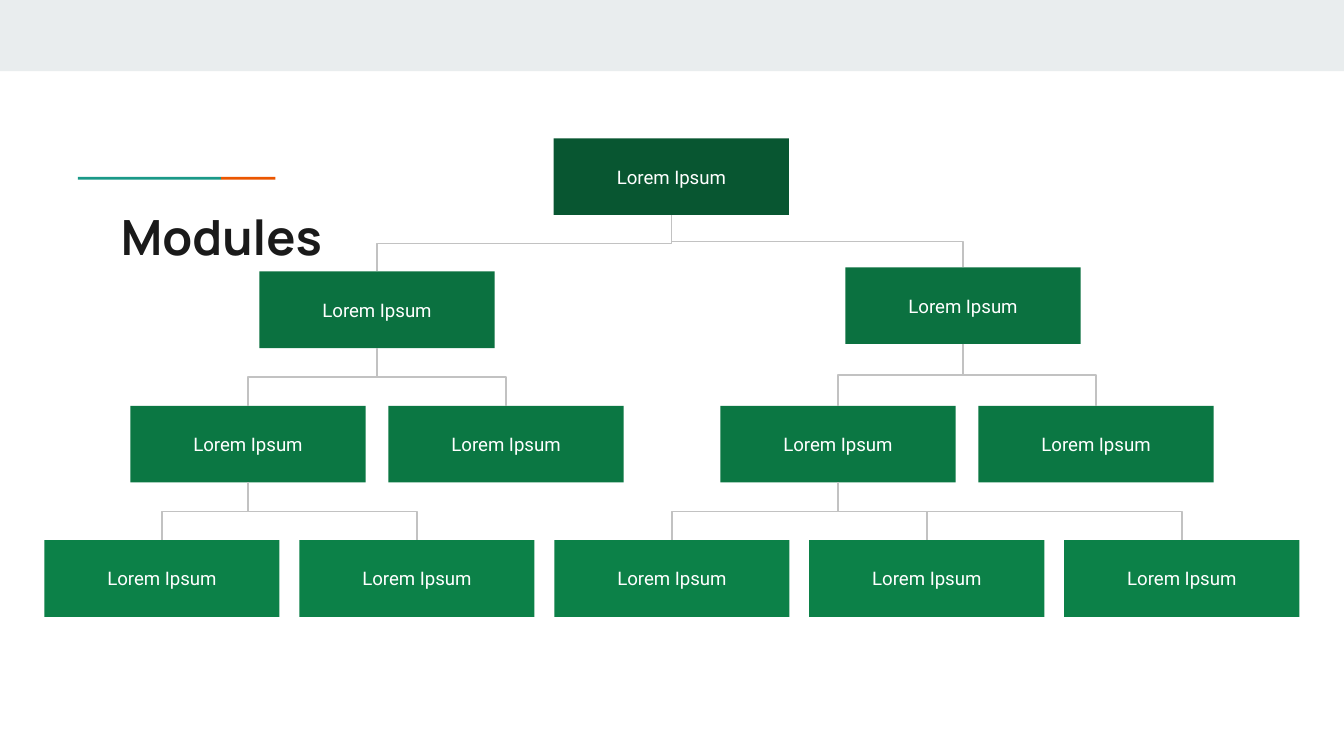
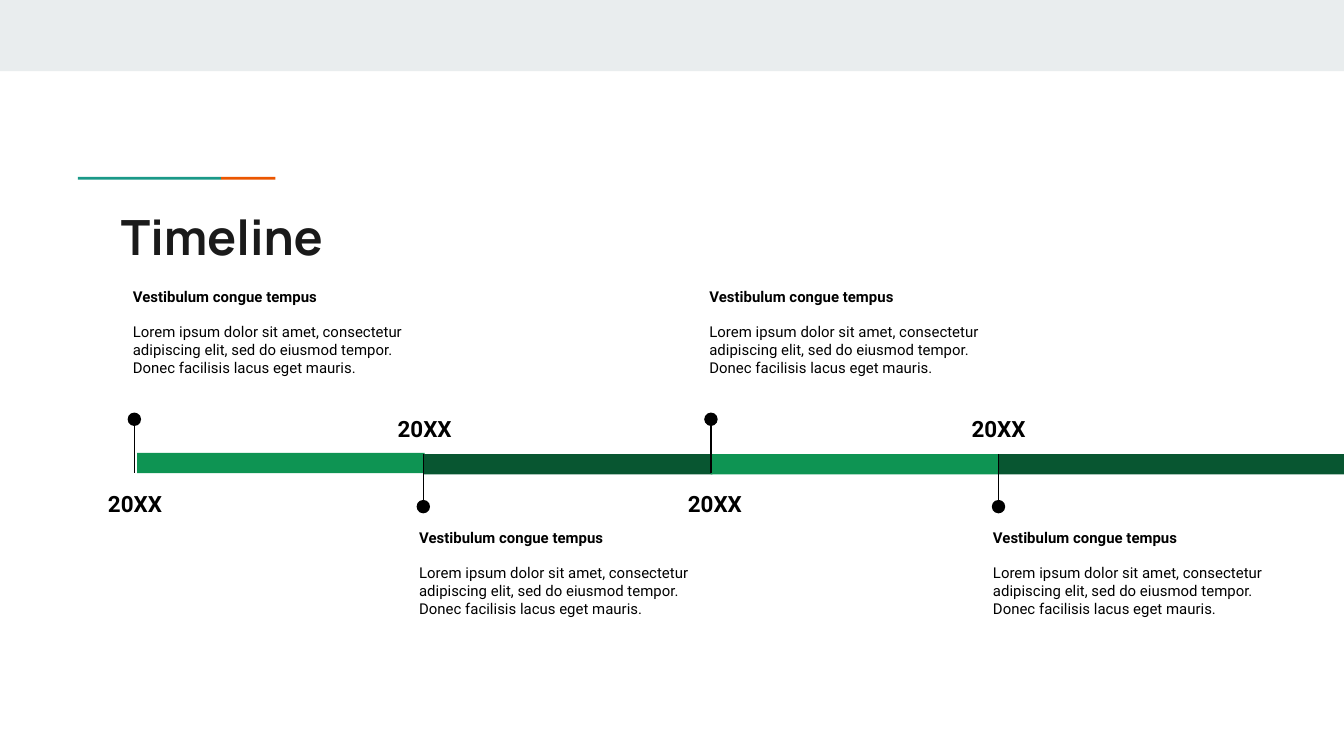
import dataclasses

import lxml.etree
import pptx
import pptx.dml.color
import pptx.enum.shapes
import pptx.enum.text
import pptx.oxml.ns
import pptx.util
from pptx.presentation import Presentation
from pptx.shapes.autoshape import Shape
from pptx.shapes.connector import Connector
from pptx.slide import Slide
from pptx.text.text import TextFrame

RGBColor = pptx.dml.color.RGBColor
ShapeKind = pptx.enum.shapes.MSO_SHAPE
ConnectorKind = pptx.enum.shapes.MSO_CONNECTOR
Align = pptx.enum.text.PP_ALIGN
Anchor = pptx.enum.text.MSO_ANCHOR

# The slide is a grid of square cells, 100 columns by 56.25 rows.
COLUMNS, ROWS = 100, 56.25
SLIDE_WIDTH = pptx.util.Inches(10)
INSET = 1

BAND = RGBColor(0xE9, 0xED, 0xEE)
TEAL = RGBColor(0x1A, 0x99, 0x88)
ORANGE = RGBColor(0xEB, 0x56, 0x00)
INK = RGBColor(0x1A, 0x1A, 0x1A)
BLACK = RGBColor(0x00, 0x00, 0x00)
WHITE = RGBColor(0xFF, 0xFF, 0xFF)
LINK_GRAY = RGBColor(0xC2, 0xC2, 0xC2)
GREEN_ROOT = RGBColor(0x08, 0x56, 0x31)
GREEN_BRANCH = RGBColor(0x0B, 0x71, 0x40)
GREEN_TWIG = RGBColor(0x0B, 0x77, 0x43)
GREEN_LEAF = RGBColor(0x0C, 0x81, 0x48)
GREEN_BAR = RGBColor(0x0E, 0x94, 0x53)

TITLE_FONT, BODY_FONT = "Manrope", "Roboto"
NOTE_HEADING = "Vestibulum congue tempus"
NOTE_BODY = (
    "Lorem ipsum dolor sit amet, consectetur adipiscing elit, "
    "sed do eiusmod tempor. Donec facilisis lacus eget mauris."
)


@dataclasses.dataclass(frozen=True)
class Box:
    left: float
    top: float
    width: float
    height: float

    def lengths(self) -> list[pptx.util.Length]:
        return [cells(value) for value in dataclasses.astuple(self)]


@dataclasses.dataclass(frozen=True)
class Style:
    size: float
    color: RGBColor
    bold: bool = False
    font: str = BODY_FONT


@dataclasses.dataclass(frozen=True)
class Module:
    left: float
    top: float
    fill: RGBColor
    parent: int | None = None


@dataclasses.dataclass(frozen=True)
class Milestone:
    """One timeline step; its note stands above or below the bar."""

    pin: float
    bar: Box
    fill: RGBColor
    label_left: float
    label_width: float
    note_left: float
    note_above: bool


TITLE_STYLE = Style(26, INK, True, TITLE_FONT)
MODULE_STYLE = Style(10, WHITE)
YEAR_STYLE = Style(12, BLACK, True)
HEADING_STYLE = Style(8, BLACK, True)
NOTE_STYLE = Style(8, BLACK)

MODULE_WIDTH, MODULE_HEIGHT = 17.5, 5.7
TWIG_TOP, TWIG_STEP = 30.2, 19.2
LEAF_TOP, LEAF_LEFT, LEAF_STEP = 40.2, 3.3, 18.97
LEAF_PARENTS = (3, 3, 5, 5, 5)
MODULES = [
    Module(41.2, 10.3, GREEN_ROOT),
    Module(19.3, 20.2, GREEN_BRANCH, 0),
    Module(62.9, 19.9, GREEN_BRANCH, 0),
    *(
        Module(first + step * TWIG_STEP, TWIG_TOP, GREEN_TWIG, parent)
        for first, parent in ((9.7, 1), (53.6, 2))
        for step in range(2)
    ),
    *(
        Module(LEAF_LEFT + step * LEAF_STEP, LEAF_TOP, GREEN_LEAF, parent)
        for step, parent in enumerate(LEAF_PARENTS)
    ),
]

BAR_TOP, BAR_HEIGHT = 33.8, 1.5
DOT_SIZE = 1
MILESTONES = [
    Milestone(10, Box(10.2, 33.7, 21.4, BAR_HEIGHT), GREEN_BAR, 5.3, 9.5, 8.9, True),
    Milestone(31.5, Box(31.5, BAR_TOP, 21.5, BAR_HEIGHT), GREEN_ROOT, 27.5, 8.2, 30.2, False),
    Milestone(52.9, Box(52.9, BAR_TOP, 21.4, BAR_HEIGHT), GREEN_BAR, 49.4, 7.6, 51.8, True),
    Milestone(74.3, Box(74.3, BAR_TOP, 25.7, BAR_HEIGHT), GREEN_ROOT, 70.2, 8.2, 72.9, False),
]


def cells(count: float) -> pptx.util.Length:
    return pptx.util.Emu(round(count * SLIDE_WIDTH / COLUMNS))


def add_filled(slide: Slide, kind: ShapeKind, box: Box, fill: RGBColor) -> Shape:
    shape = slide.shapes.add_shape(kind, *box.lengths())
    shape.shadow.inherit = False
    shape.fill.solid()
    shape.fill.fore_color.rgb = fill
    shape.line.fill.background()
    return shape


def prepare_frame(frame: TextFrame, anchor: Anchor = Anchor.TOP) -> None:
    frame.word_wrap = True
    frame.auto_size = pptx.enum.text.MSO_AUTO_SIZE.NONE
    frame.vertical_anchor = anchor
    frame.margin_left = frame.margin_right = cells(INSET)
    frame.margin_top = frame.margin_bottom = cells(INSET)


def write(
    frame: TextFrame,
    text: str,
    style: Style,
    align: Align = Align.LEFT,
    space_after: float = 0,
    line_spacing: float = 1.0,
) -> None:
    """Fill the frame's first paragraph, or add one when it has text already."""
    paragraph = frame.add_paragraph() if frame.text else frame.paragraphs[0]
    paragraph.alignment = align
    paragraph.space_before = pptx.util.Pt(0)
    paragraph.space_after = pptx.util.Pt(space_after)
    paragraph.line_spacing = line_spacing
    run = paragraph.add_run()
    run.text = text
    run.font.name = style.font
    run.font.size = pptx.util.Pt(style.size)
    run.font.bold = style.bold
    run.font.color.rgb = style.color


def add_text_frame(slide: Slide, box: Box) -> TextFrame:
    frame = slide.shapes.add_textbox(*box.lengths()).text_frame
    prepare_frame(frame)
    return frame


def format_line(connector: Connector, color: RGBColor) -> None:
    connector.line.color.rgb = color
    connector.line.width = pptx.util.Pt(0.75)
    properties = connector.element.spPr
    lxml.etree.SubElement(properties, pptx.oxml.ns.qn("a:effectLst"))


def add_titled_slide(presentation: Presentation, title: str) -> Slide:
    slide = presentation.slides.add_slide(presentation.slide_layouts[5])
    add_filled(slide, ShapeKind.RECTANGLE, Box(0, 0, COLUMNS, 5.3), BAND)
    add_filled(slide, ShapeKind.RECTANGLE, Box(5.8, 13.17, 10.65, 0.2), TEAL)
    add_filled(slide, ShapeKind.RECTANGLE, Box(16.45, 13.17, 4.05, 0.2), ORANGE)
    placeholder = slide.shapes.title
    placeholder.left, placeholder.top, placeholder.width, placeholder.height = Box(
        8, 14.4, 84.1, 5.9
    ).lengths()
    prepare_frame(placeholder.text_frame)
    write(placeholder.text_frame, title, TITLE_STYLE)
    return slide


def add_module(slide: Slide, module: Module) -> Shape:
    box = Box(module.left, module.top, MODULE_WIDTH, MODULE_HEIGHT)
    shape = add_filled(slide, ShapeKind.RECTANGLE, box, module.fill)
    prepare_frame(shape.text_frame, Anchor.MIDDLE)
    write(shape.text_frame, "Lorem Ipsum", MODULE_STYLE, Align.CENTER)
    return shape


def link_modules(slide: Slide, parent: Shape, child: Shape) -> None:
    """Join parent to child with an elbow that leaves downwards.

    An elbow runs sideways first, so it is laid flat and turned a quarter.
    """
    connector = slide.shapes.add_connector(ConnectorKind.ELBOW, 0, 0, 0, 0)
    connector.begin_connect(parent, 2)
    connector.end_connect(child, 0)
    start_x, start_y = parent.left + parent.width // 2, parent.top + parent.height
    end_x, end_y = child.left + child.width // 2, child.top
    drop, reach = end_y - start_y, abs(end_x - start_x)
    connector.left = (start_x + end_x - drop) // 2
    connector.top = (start_y + end_y - reach) // 2
    connector.width, connector.height = drop, reach
    goes_right = end_x > start_x
    transform = connector.element.spPr.xfrm
    transform.set("rot", "16200000" if goes_right else "5400000")
    transform.set("flipH", "1" if goes_right else "0")
    transform.set("flipV", "0")
    format_line(connector, LINK_GRAY)


def add_milestone(slide: Slide, milestone: Milestone) -> None:
    above = milestone.note_above
    line_top, line_bottom = (31.3, 35.2) if above else (33.8, 37.7)
    dot_top = 30.7 if above else 37.2
    label_top = 35.2 if above else 29.6
    note_top = 20.4 if above else 38.3

    add_filled(slide, ShapeKind.RECTANGLE, milestone.bar, milestone.fill)
    pin = cells(milestone.pin)
    connector = slide.shapes.add_connector(
        ConnectorKind.STRAIGHT, pin, cells(line_top), pin, cells(line_bottom)
    )
    format_line(connector, BLACK)
    dot = Box(milestone.pin - DOT_SIZE / 2, dot_top, DOT_SIZE, DOT_SIZE)
    add_filled(slide, ShapeKind.OVAL, dot, BLACK)

    label = add_text_frame(
        slide, Box(milestone.label_left, label_top, milestone.label_width, 4.1)
    )
    write(label, "20XX", YEAR_STYLE, Align.CENTER, 16, 1.15)
    note = add_text_frame(slide, Box(milestone.note_left, note_top, 24.6, 10.3))
    write(note, NOTE_HEADING, HEADING_STYLE, space_after=9.4)
    write(note, NOTE_BODY, NOTE_STYLE, space_after=16)


def main() -> None:
    presentation = pptx.Presentation()
    presentation.slide_width = SLIDE_WIDTH
    presentation.slide_height = cells(ROWS)

    modules_slide = add_titled_slide(presentation, "Modules")
    shapes = [add_module(modules_slide, module) for module in MODULES]
    for module, shape in zip(MODULES, shapes):
        if module.parent is not None:
            link_modules(modules_slide, shapes[module.parent], shape)

    timeline_slide = add_titled_slide(presentation, "Timeline")
    for milestone in MILESTONES:
        add_milestone(timeline_slide, milestone)

    presentation.save("out.pptx")


if __name__ == "__main__":
    main()
